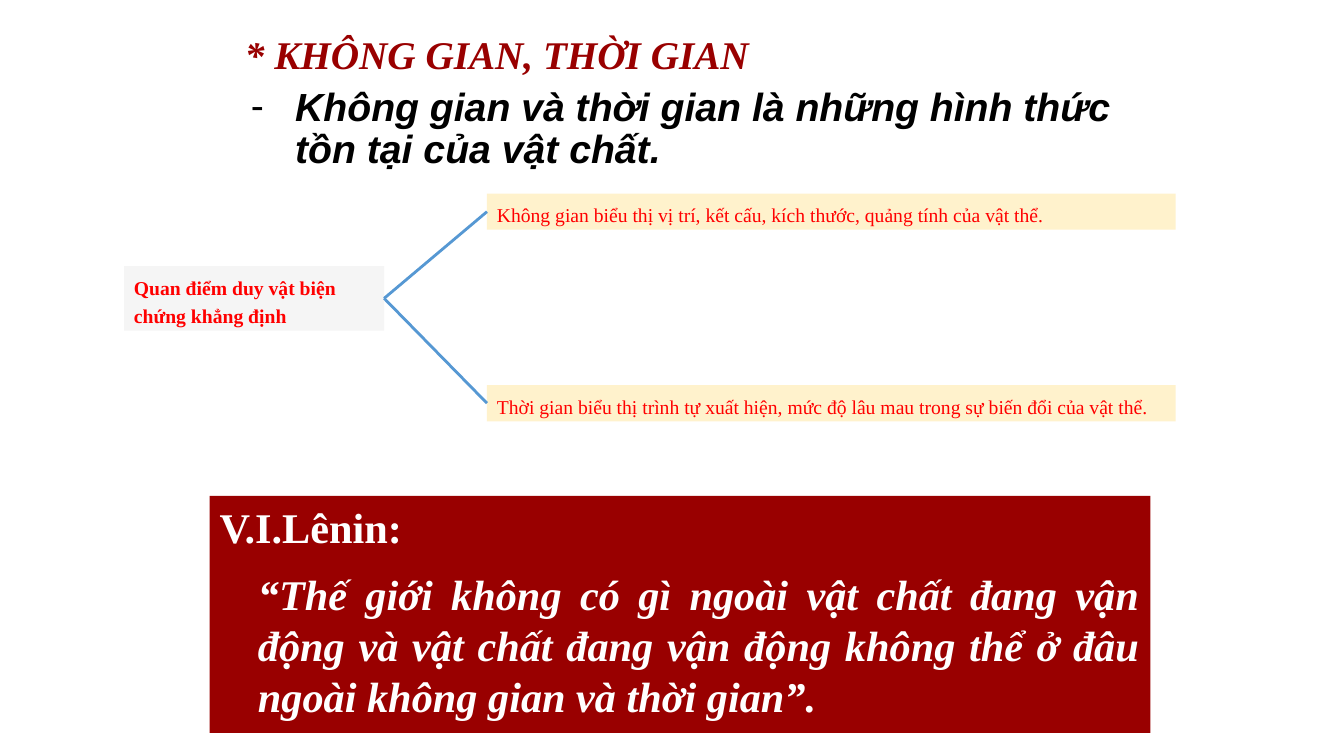
from lxml import etree
from pptx import Presentation
from pptx.dml.color import RGBColor
from pptx.enum.shapes import MSO_CONNECTOR, MSO_SHAPE
from pptx.enum.text import MSO_ANCHOR, MSO_AUTO_SIZE, PP_ALIGN
from pptx.oxml.ns import qn
from pptx.util import Inches, Pt

RECT = MSO_SHAPE.RECTANGLE
LINE = MSO_CONNECTOR.STRAIGHT
TOP = MSO_ANCHOR.TOP
NO_FIT = MSO_AUTO_SIZE.NONE
LEFT, JUSTIFY = PP_ALIGN.LEFT, PP_ALIGN.JUSTIFY
SERIF, SANS = "Times New Roman", "Arial"
COLORS = {"dark": "990000", "red": "FF0000", "black": "000000", "white": "FFFFFF",
          "gray": "F5F5F5", "cream": "FFF2CC", "blue": "5698D3"}


def color(name):
    return RGBColor.from_string(COLORS[name])


def style(para, size, tint, font=SERIF, bold=False, italic=False, align=LEFT):
    para.alignment = align
    for run in para.runs:
        face = run.font
        face.name, face.size = font, Pt(size)
        face.bold, face.italic = bold, italic
        face.color.rgb = color(tint)


def indent(para, left, first=0):
    props = para._p.get_or_add_pPr()
    props.set("marL", str(Inches(left)))
    props.set("indent", str(Inches(first)))
    return props


def setup(frame):
    frame.word_wrap = True
    frame.auto_size = NO_FIT
    frame.vertical_anchor = TOP


def panel(slide, box, fill):
    shape = slide.shapes.add_shape(RECT, *map(Inches, box))
    shape.shadow.inherit = False
    shape.fill.solid()
    shape.fill.fore_color.rgb = color(fill)
    shape.line.fill.background()
    setup(shape.text_frame)
    return shape


def label(slide, box, fill, text, bold=False):
    shape = panel(slide, box, fill)
    para = shape.text_frame.paragraphs[0]
    para.text = text
    para.line_spacing = 1.2
    para.space_after = Pt(3)
    style(para, 14, "red", bold=bold)


def heading(slide, box, text):
    title = slide.shapes.title
    title.left, title.top, title.width, title.height = map(Inches, box)
    setup(title.text_frame)
    title.text_frame.text = text
    style(title.text_frame.paragraphs[0], 28, "dark", bold=True, italic=True)


def thesis(slide, box, text):
    frame = slide.shapes.add_textbox(*map(Inches, box)).text_frame
    setup(frame)
    para = frame.paragraphs[0]
    para.text = text
    para.line_spacing = 0.9
    style(para, 28, "black", SANS, bold=True, italic=True)
    # Dash bullet
    props = indent(para, 0.5, -0.44)
    tint = etree.SubElement(props, qn("a:buClr"))
    etree.SubElement(tint, qn("a:srgbClr"), val=COLORS["black"])
    etree.SubElement(props, qn("a:buFont"), typeface=SANS)
    etree.SubElement(props, qn("a:buChar"), char="-")


def link(slide, start, end):
    line = slide.shapes.add_connector(LINE, *map(Inches, start + end))
    line.line.color.rgb = color("blue")
    line.line.width = Pt(2)
    etree.SubElement(line._element.spPr, qn("a:effectLst"))


def tree(slide, box, root, leaves):
    left, top, width, height = box
    root_w, root_h, root_y = 2.58, 0.64, top + 0.72
    leaf_w, leaf_h = 6.83, 0.36
    leaf_x = left + width - leaf_w
    step = (height - leaf_h) / (len(leaves) - 1)
    label(slide, (left, root_y, root_w, root_h), "gray", root, bold=True)
    for i, text in enumerate(leaves):
        y = top + i * step
        label(slide, (leaf_x, y, leaf_w, leaf_h), "cream", text)
        link(slide, (left + root_w, root_y + root_h / 2), (leaf_x, y + leaf_h / 2))


def quote(slide, box, author, text):
    frame = panel(slide, box, "dark").text_frame
    frame.text = author
    name, words = frame.paragraphs[0], frame.add_paragraph()
    words.text = text
    for para in (name, words):
        para.space_before = para.space_after = Pt(6)
        style(para, 30.2, "white", bold=True, italic=para is words, align=JUSTIFY)
    indent(name, 0.38, -0.38)
    indent(words, 0.38)


def main():
    deck = Presentation()
    deck.slide_width, deck.slide_height = Inches(13.33), Inches(7.5)
    slide = deck.slides.add_slide(deck.slide_layouts[5])
    # Heading and thesis
    heading(slide, (2.33, 0.25, 7.17, 0.57), "* KHÔNG GIAN, THỜI GIAN")
    thesis(slide, (2.33, 0.82, 9, 1.08),
           "Không gian và thời gian là những hình thức tồn tại của vật chất.")
    # Root view with its two branches
    tree(slide, (1.23, 1.92, 10.43, 2.26), "Quan điểm duy vật biện chứng khẳng định", [
        "Không gian biểu thị vị trí, kết cấu, kích thước, quảng tính của vật thể.",
        "Thời gian biểu thị trình tự xuất hiện, mức độ lâu mau trong sự biến đổi của vật thể.",
    ])
    # Quotation
    quote(slide, (2.08, 4.92, 9.33, 2.35), "V.I.Lênin:",
          "“Thế giới không có gì ngoài vật chất đang vận động và vật chất đang vận động "
          "không thể ở đâu ngoài không gian và thời gian”.")
    deck.save("out.pptx")


if __name__ == "__main__":
    main()
